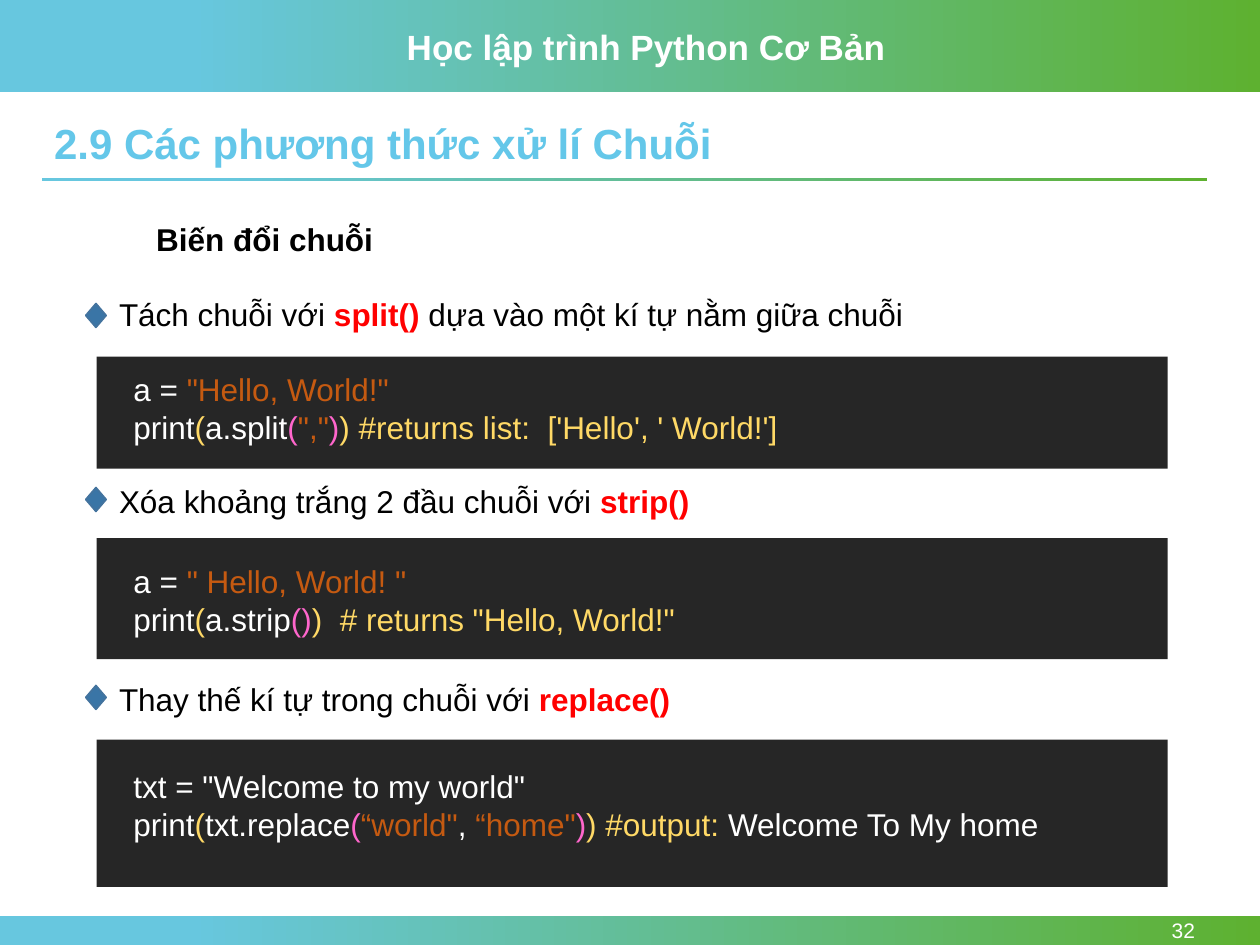
from pptx import Presentation
from pptx.dml.color import RGBColor
from pptx.enum.shapes import MSO_SHAPE
from pptx.enum.text import MSO_ANCHOR, PP_ALIGN
from pptx.util import Cm, Pt

RECTANGLE = MSO_SHAPE.RECTANGLE
DIAMOND = MSO_SHAPE.FLOWCHART_DECISION
LEFT, RIGHT = PP_ALIGN.LEFT, PP_ALIGN.RIGHT
TOP, MIDDLE = MSO_ANCHOR.TOP, MSO_ANCHOR.MIDDLE

COLORS = {
    "white": "FFFFFF", "black": "000000", "red": "FF0000",
    "sky": "67C7DF", "green": "5EB130", "title": "64C7E9",
    "panel": "262626", "bullet": "3A75A6", "bullet_edge": "43739E",
    "string": "C55A11", "yellow": "FFD966", "pink": "FF66CC",
}


def rgb(name):
    return RGBColor.from_string(COLORS[name])


def add_text(box, lines, size=18, bold=False, align=LEFT, anchor=TOP, spacing=None):
    """Add a text box; each line is a list of (text, colour) runs, red runs are bold."""
    frame = slide.shapes.add_textbox(*[Cm(length) for length in box]).text_frame
    frame.word_wrap = True
    frame.vertical_anchor = anchor
    for number, runs in enumerate(lines):
        paragraph = frame.add_paragraph() if number else frame.paragraphs[0]
        paragraph.alignment = align
        paragraph.line_spacing = spacing
        for text, color in runs:
            run = paragraph.add_run()
            run.text = text
            run.font.name = "Arial"
            run.font.size = Pt(size)
            run.font.bold = bold or color == "red"
            run.font.color.rgb = rgb(color)


prs = Presentation()
prs.slide_width, prs.slide_height = Cm(25.4), Cm(19.05)
slide = prs.slides.add_slide(prs.slide_layouts[6])

# Header band, footer band and title rule share one gradient
for left, top, width, height in [
    (0, 0, 25.4, 1.85),
    (0, 18.47, 25.4, 0.58),
    (0.84, 3.58, 23.5, 0.07),
]:
    band = slide.shapes.add_shape(RECTANGLE, Cm(left), Cm(top), Cm(width), Cm(height))
    band.shadow.inherit = False
    band.line.fill.background()
    band.fill.gradient()
    band.fill.gradient_angle = 0
    for stop, (position, color) in zip(band.fill.gradient_stops, [(0.15, "sky"), (1, "green")]):
        stop.position = position
        stop.color.rgb = rgb(color)

add_text((7.95, 0.38, 10.2, 1.12), [[("Học lập trình Python Cơ Bản", "white")]],
         size=20, bold=True)
add_text((22, 18.47, 2.34, 0.58), [[("32", "white")]], size=12, align=RIGHT, anchor=MIDDLE)
add_text((0.84, 2.36, 23.5, 1.17), [[("2.9 Các phương thức xử lí Chuỗi", "title")]],
         size=24, bold=True, spacing=0.9)
add_text((2.9, 4.32, 17.86, 1.02), [[("Biến đổi chuỗi", "black")]], bold=True)

# Each method: caption top, bullet top, panel top and height, code top, caption, code
methods = [
    (5.82, 6.12, 7.19, 2.26, 7.34,
     [("Tách chuỗi với ", "black"), ("split() ", "red"),
      ("dựa vào một kí tự nằm giữa chuỗi", "black")],
     [[("a = ", "white"), ('"Hello, World!"', "string")],
      [("print", "white"), ("(", "yellow"), ("a.split", "white"), ("(", "pink"),
       ('","', "string"), (")", "pink"),
       (") #returns list:  ['Hello', ' World!']", "yellow")]]),
    (9.6, 9.83, 10.85, 2.44, 11.2,
     [("Xóa khoảng trắng 2 đầu chuỗi với ", "black"), ("strip()", "red")],
     [[("a = ", "white"), ('" Hello, World! "', "string")],
      [("print", "white"), ("(", "yellow"), ("a.strip", "white"), ("()", "pink"),
       (')  # returns "Hello, World!"', "yellow")]]),
    (13.59, 13.82, 14.91, 2.97, 15.34,
     [("Thay thế kí tự trong chuỗi với ", "black"), ("replace()", "red")],
     [[('txt = "Welcome to my world"', "white")],
      [("print", "white"), ("(", "yellow"), ("txt.replace", "white"), ("(", "pink"),
       ('“world"', "string"), (", ", "white"), ('“home"', "string"), (")", "pink"),
       (") #output: ", "yellow"), ("Welcome To My home", "white")]]),
]
for caption_top, bullet_top, panel_top, panel_height, code_top, caption, code in methods:
    panel = slide.shapes.add_shape(RECTANGLE, Cm(1.95), Cm(panel_top), Cm(21.59), Cm(panel_height))
    panel.shadow.inherit = False
    panel.fill.solid()
    panel.fill.fore_color.rgb = rgb("panel")
    panel.line.fill.background()

    bullet = slide.shapes.add_shape(DIAMOND, Cm(1.73), Cm(bullet_top), Cm(0.41), Cm(0.48))
    bullet.shadow.inherit = False
    bullet.fill.solid()
    bullet.fill.fore_color.rgb = rgb("bullet")
    bullet.line.color.rgb = rgb("bullet_edge")
    bullet.line.width = Pt(1)

    add_text((2.15, caption_top, 21.77, 1.02), [caption])
    add_text((2.44, code_top, 20.57, 1.8), code)

prs.save("out.pptx")
